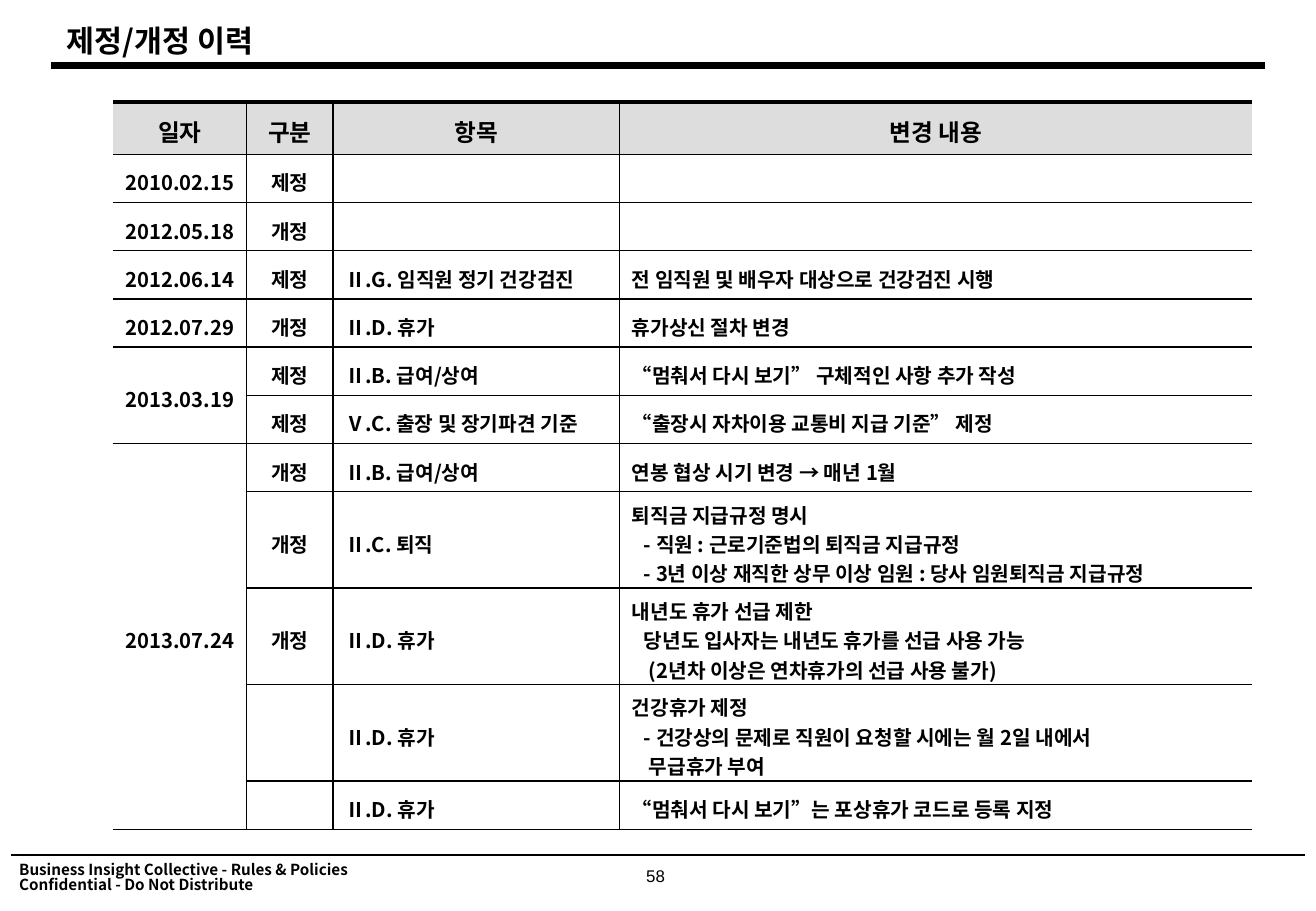
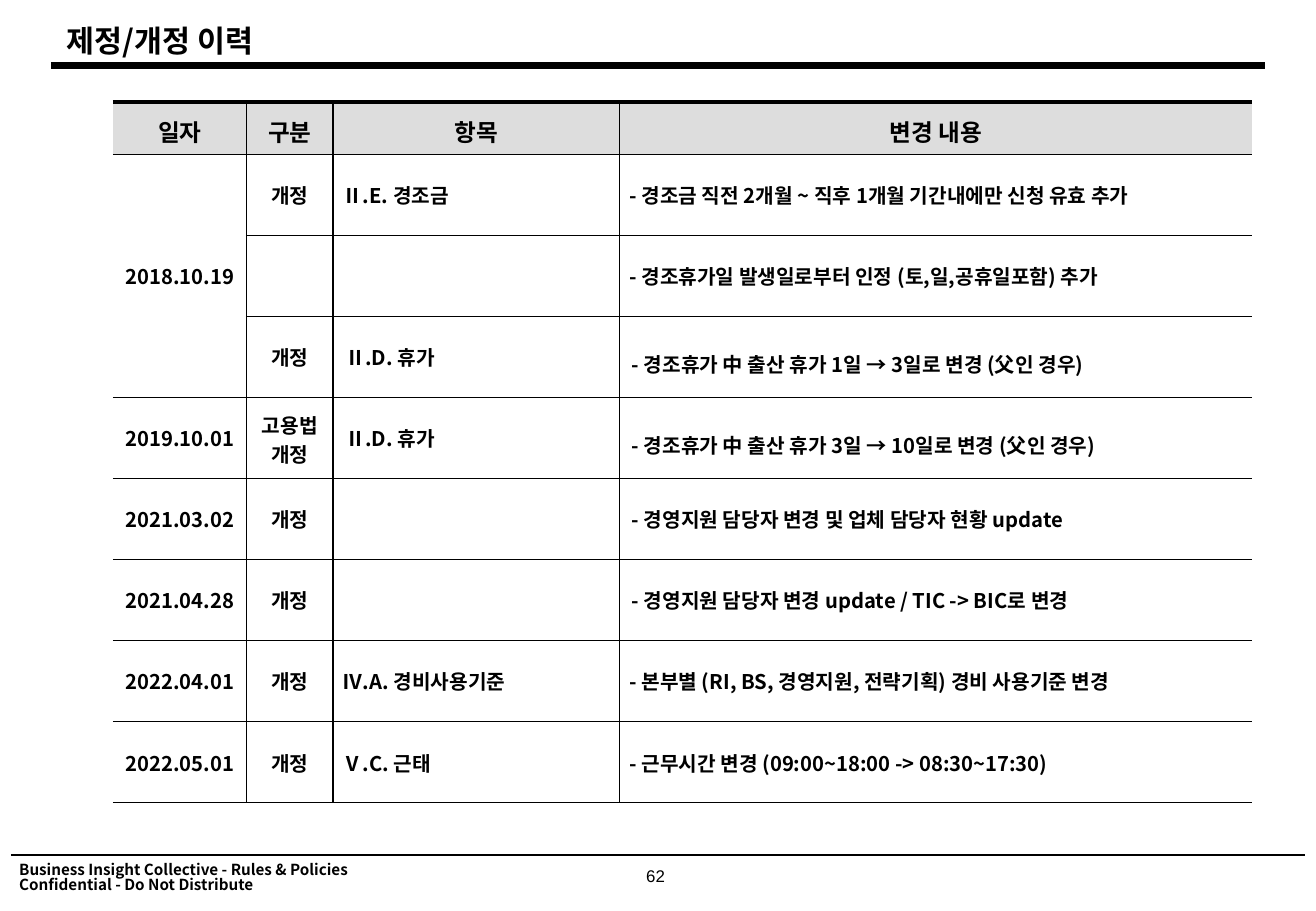
import pptx
import pptx.dml.color
import pptx.enum.shapes
import pptx.enum.text
import pptx.oxml.ns
import pptx.util
from lxml import etree

Inches = pptx.util.Inches
Pt = pptx.util.Pt
qn = pptx.oxml.ns.qn
ALIGN = pptx.enum.text.PP_ALIGN
ANCHOR = pptx.enum.text.MSO_ANCHOR

BLACK = pptx.dml.color.RGBColor(0, 0, 0)
HEADER_GRAY = pptx.dml.color.RGBColor(0xDD, 0xDD, 0xDD)
KOREAN = "Noto Sans CJK KR"
LATIN = "Arial"

TITLE = "제정/개정 이력"
FOOTER = ["Business Insight Collective - Rules & Policies",
          "Confidential - Do Not Distribute"]
HEADINGS = ["일자", "구분", "항목", "변경 내용"]
COLUMN_WIDTHS = [1.1, 0.71, 2.36, 5.2]
HEADER_HEIGHT = 0.43

# A None date continues the date above; a list holds a heading and its details.
HISTORY_2010 = [
    ("2010.02.15", "제정", "", ""),
    ("2012.05.18", "개정", "", ""),
    ("2012.06.14", "제정", "Ⅱ.G. 임직원 정기 건강검진", "전 임직원 및 배우자 대상으로 건강검진 시행"),
    ("2012.07.29", "개정", "Ⅱ.D. 휴가", "휴가상신 절차 변경"),
    ("2013.03.19", "제정", "Ⅱ.B. 급여/상여", "“멈춰서 다시 보기” 구체적인 사항 추가 작성"),
    (None, "제정", "Ⅴ.C. 출장 및 장기파견 기준", "“출장시 자차이용 교통비 지급 기준” 제정"),
    ("2013.07.24", "개정", "Ⅱ.B. 급여/상여", "연봉 협상 시기 변경 → 매년 1월"),
    (None, "개정", "Ⅱ.C. 퇴직", [
        "퇴직금 지급규정 명시",
        "- 직원 : 근로기준법의 퇴직금 지급규정",
        "- 3년 이상 재직한 상무 이상 임원 : 당사 임원퇴직금 지급규정"]),
    (None, "개정", "Ⅱ.D. 휴가", [
        "내년도 휴가 선급 제한",
        "당년도 입사자는 내년도 휴가를 선급 사용 가능\n(2년차 이상은 연차휴가의 선급 사용 불가)"]),
    (None, "", "Ⅱ.D. 휴가", [
        "건강휴가 제정",
        "- 건강상의 문제로 직원이 요청할 시에는 월 2일 내에서\n무급휴가 부여"]),
    (None, "", "Ⅱ.D. 휴가", "“멈춰서 다시 보기”는 포상휴가 코드로 등록 지정"),
]
HISTORY_2018 = [
    ("2018.10.19", "개정", "Ⅱ.E. 경조금", "- 경조금 직전 2개월 ~ 직후 1개월 기간내에만 신청 유효 추가"),
    (None, "", "", "- 경조휴가일 발생일로부터 인정 (토,일,공휴일포함) 추가"),
    (None, "개정", "Ⅱ.D. 휴가", "- 경조휴가 中 출산 휴가 1일 → 3일로 변경 (父인 경우)"),
    ("2019.10.01", "고용법개정", "Ⅱ.D. 휴가", "- 경조휴가 中 출산 휴가 3일 → 10일로 변경 (父인 경우)"),
    ("2021.03.02", "개정", "", "- 경영지원 담당자 변경 및 업체 담당자 현황 update"),
    ("2021.04.28", "개정", "", "- 경영지원 담당자 변경 update / TIC -> BIC로 변경"),
    ("2022.04.01", "개정", "Ⅳ.A. 경비사용기준", "- 본부별 (RI, BS, 경영지원, 전략기획) 경비 사용기준 변경"),
    ("2022.05.01", "개정", "Ⅴ.C. 근태", "- 근무시간 변경 (09:00~18:00 -> 08:30~17:30)"),
]
LOOSE_ROWS = (3, 4)


def add_run(paragraph, text, size, font=KOREAN, bold=True):
    run = paragraph.add_run()
    run.text = text
    run.font.size = Pt(size)
    run.font.bold = bold
    run.font.name = font
    run.font.color.rgb = BLACK
    etree.SubElement(run.font._element, qn("a:ea"), typeface=KOREAN)


def add_rule(slide, left, right, y, weight):
    rule = slide.shapes.add_connector(
        pptx.enum.shapes.MSO_CONNECTOR.STRAIGHT,
        Inches(left), Inches(y), Inches(right), Inches(y))
    rule.line.color.rgb = BLACK
    rule.line.width = Pt(weight)
    etree.SubElement(rule._element.spPr, qn("a:effectLst"))
    return rule


def add_text_box(slide, left, top, width, height):
    return slide.shapes.add_textbox(
        Inches(left), Inches(top), Inches(width), Inches(height))


def add_footer(slide):
    footer = add_text_box(slide, 0.06, 7.06, 3.03, 0.4)
    frame = footer.text_frame
    frame.word_wrap = True
    for number, line in enumerate(FOOTER):
        paragraph = frame.add_paragraph() if number else frame.paragraphs[0]
        paragraph.line_spacing = 0.82
        add_run(paragraph, line, 9)
    return footer


def furnish_layout(layout, slide):
    """Draw the rules and footer, then hand them to the layout all slides use."""
    shared = [add_rule(slide, 0.09, 10.74, 7.04, 1),
              add_rule(slide, 0.42, 10.41, 0.54, 4),
              add_footer(slide)]
    for part in shared:
        layout.shapes._spTree.append(part._element)


def set_title(slide):
    title = slide.shapes.title
    title.left, title.top = Inches(0.45), Inches(0.13)
    title.width, title.height = Inches(4.1), Inches(0.4)
    title.text_frame.vertical_anchor = ANCHOR.MIDDLE
    paragraph = title.text_frame.paragraphs[0]
    paragraph.alignment = ALIGN.LEFT
    add_run(paragraph, TITLE, 18)


def add_page_number(slide, number):
    frame = add_text_box(slide, 5.21, 7.1, 0.37, 0.37).text_frame
    frame.word_wrap = False
    paragraph = frame.paragraphs[0]
    paragraph.alignment = ALIGN.CENTER
    paragraph.line_spacing = 0.9
    add_run(paragraph, str(number), 10, LATIN, bold=False)


def set_borders(cell, left, right, top, bottom):
    """Set the four line weights in points; 0 leaves a side open."""
    properties = cell._tc.get_or_add_tcPr()
    sides = zip(("lnL", "lnR", "lnT", "lnB"), (left, right, top, bottom))
    for position, (side, weight) in enumerate(sides):
        line = etree.Element(qn(f"a:{side}"), w=str(Pt(weight)))
        if weight:
            fill = etree.SubElement(line, qn("a:solidFill"))
            etree.SubElement(fill, qn("a:srgbClr"), val=str(BLACK))
        else:
            etree.SubElement(line, qn("a:noFill"))
        properties.insert(position, line)


def set_insets(cell, side, top, bottom):
    cell.margin_left = cell.margin_right = Inches(side)
    cell.margin_top, cell.margin_bottom = Inches(top), Inches(bottom)


def fill_heading(cell, heading):
    cell.fill.solid()
    cell.fill.fore_color.rgb = HEADER_GRAY
    set_insets(cell, 0.1, 0.1, 0.02)
    paragraph = cell.text_frame.paragraphs[0]
    paragraph.alignment = ALIGN.CENTER
    add_run(paragraph, heading, 14, LATIN)


def fill_entry(cell, content, centered, line_spacing):
    cell.fill.background()
    cell.vertical_anchor = ANCHOR.MIDDLE
    frame = cell.text_frame
    lines = content if isinstance(content, list) else [content or ""]
    for level, line in enumerate(lines):
        paragraph = frame.add_paragraph() if level else frame.paragraphs[0]
        if centered:
            paragraph.alignment = ALIGN.CENTER
        if line_spacing:
            paragraph.line_spacing = line_spacing
        if level:
            properties = paragraph._p.get_or_add_pPr()
            properties.set("marL", str(Inches(0.14)))
            properties.set("indent", str(Inches(-0.04)))
        if not line:
            etree.SubElement(paragraph._p, qn("a:endParaRPr"), sz="1200")
            continue
        for number, piece in enumerate(line.split("\n")):
            if number:
                paragraph.add_line_break()
            add_run(paragraph, piece, 12)


def merge_dates(table, history):
    starts = [row for row, entry in enumerate(history, 1) if entry[0]]
    ends = [start - 1 for start in starts[1:]] + [len(history)]
    for start, end in zip(starts, ends):
        if end > start:
            table.cell(start, 0).merge(table.cell(end, 0))


def add_history_table(slide, history, height, heights, insets, loose_rows=()):
    """Share the height below the header by the row weights in heights."""
    table = slide.shapes.add_table(
        len(history) + 1, len(HEADINGS), Inches(0.93), Inches(0.84),
        Inches(sum(COLUMN_WIDTHS)), Inches(height)).table
    table.first_row = table.horz_banding = False
    for column, width in zip(table.columns, COLUMN_WIDTHS):
        column.width = Inches(width)
    table.rows[0].height = Inches(HEADER_HEIGHT)
    unit = (height - HEADER_HEIGHT) / sum(heights)
    for row, weight in enumerate(heights, 1):
        table.rows[row].height = Inches(unit * weight)

    last = len(HEADINGS) - 1
    for row, entry in enumerate([HEADINGS] + history):
        for column, content in enumerate(entry):
            cell = table.cell(row, column)
            if row == 0:
                fill_heading(cell, content)
            else:
                set_insets(cell, *insets[row - 1])
                loose = column == last and row in loose_rows
                fill_entry(cell, content, column < 2, 1.45 if loose else None)
            set_borders(cell, 1 if column else 0, 1 if column < last else 0,
                        1 if row else 2.25, 1)
    merge_dates(table, history)


def add_history_slide(deck, layout, page):
    slide = deck.slides.add_slide(layout)
    set_title(slide)
    add_page_number(slide, page)
    return slide


def main():
    deck = pptx.Presentation()
    deck.slide_width, deck.slide_height = Inches(10.83), Inches(7.5)
    layout = deck.slide_layouts[5]

    early = add_history_slide(deck, layout, 58)
    furnish_layout(layout, early)
    heights = [2 if isinstance(entry[-1], list) else 1 for entry in HISTORY_2010]
    add_history_table(early, HISTORY_2010, 5.99, heights,
                      [(0.1, 0.06, 0)] * len(heights))

    late = add_history_slide(deck, layout, 62)
    narrow, wide = (0.08, 0.08, 0.08), (0.1, 0.1, 0.1)
    add_history_table(late, HISTORY_2018, 5.77, [1] * len(HISTORY_2018),
                      [narrow] * 2 + [wide] * 4 + [narrow] * 2, LOOSE_ROWS)

    deck.save("out.pptx")


if __name__ == "__main__":
    main()
